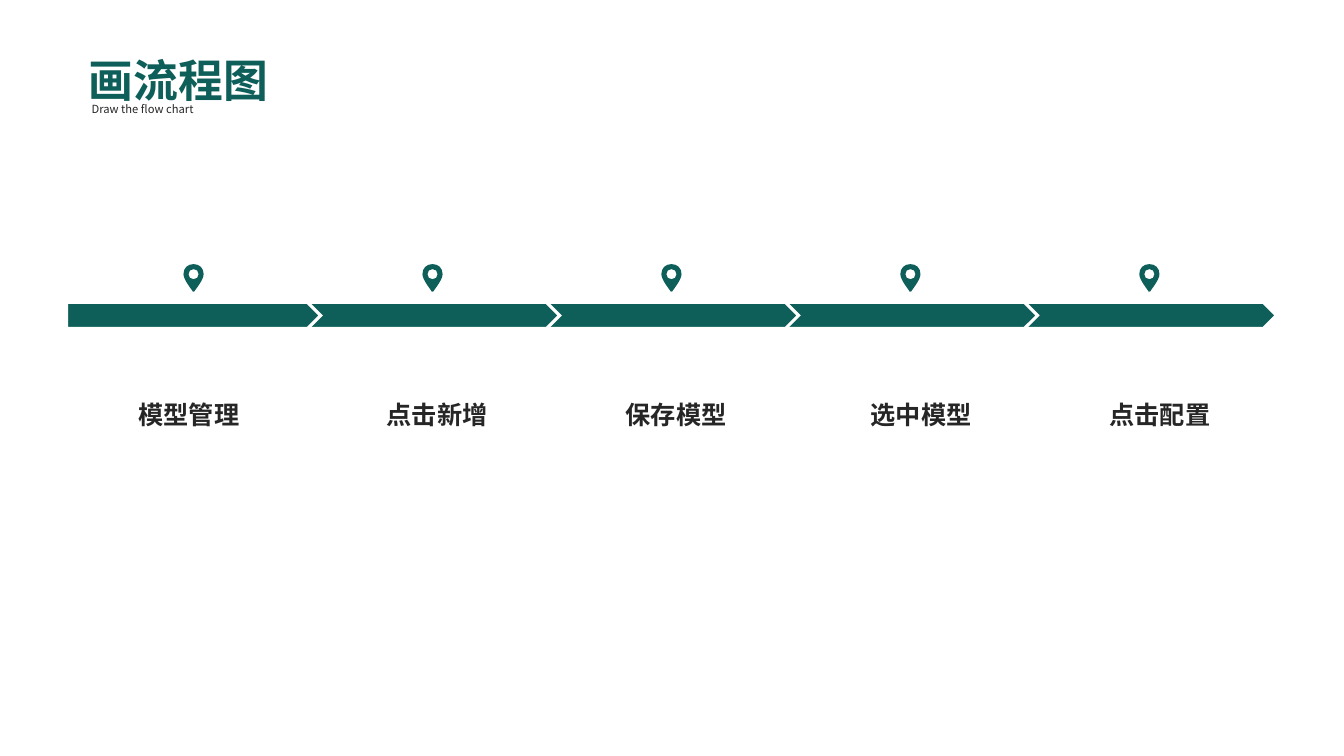
"""Build a five-step flow chart slide with an arrow band and map pins."""
from lxml.etree import SubElement as sub
from pptx import Presentation
from pptx.dml.color import RGBColor as RGB
from pptx.enum.shapes import MSO_SHAPE as SHAPE
from pptx.enum.text import MSO_AUTO_SIZE as AUTO, PP_ALIGN as ALIGN
from pptx.oxml.ns import qn
from pptx.util import Inches, Pt

GREEN, DARK, WHITE = "0E5E59", "262626", "FFFFFF"
STEP = 2.37


def paint(fmt, color):
    fmt.solid()
    fmt.fore_color.rgb = RGB.from_string(color)


def write(text, left, top, width, height, size, color=DARK, bold=False, align=ALIGN.LEFT):
    box = slide.shapes.add_textbox(Inches(left), Inches(top), Inches(width), Inches(height))
    frame = box.text_frame
    frame.word_wrap = True
    frame.auto_size = AUTO.SHAPE_TO_FIT_TEXT
    para = frame.paragraphs[0]
    para.alignment = align
    run = para.add_run()
    run.text = text
    font = run.font
    font.name, font.size, font.bold = "Noto Sans CJK SC", Pt(size), bold
    paint(font.fill, color)
    sub(run._r.get_or_add_rPr(), qn("a:ea"), typeface=font.name)


deck = Presentation()
deck.slide_width, deck.slide_height = Inches(13.33), Inches(7.5)
slide = deck.slides.add_slide(deck.slide_layouts[6])

write("画流程图", 0.78, 0.47, 3.11, 0.64, 32, GREEN, bold=True)
write("Draw the flow chart", 0.81, 0.97, 2.82, 0.23, 8, align=ALIGN.JUSTIFY)

band = slide.shapes.add_group_shape()
for i in reversed(range(5)):
    arrow = band.shapes.add_shape(SHAPE.PENTAGON, Inches(0.66 + i * STEP), Inches(3),
                                  Inches(2.52), Inches(0.26))
    arrow.shadow.inherit = False
    paint(arrow.fill, GREEN)
    paint(arrow.line.fill, WHITE)
    arrow.line.width = Pt(2.25)
    sub(arrow.line._get_or_add_ln(), qn("a:miter"), lim="800000")

drop = [(0, -0.1), (-0.06, -0.1), (-0.1, -0.06), (-0.1, 0),
        (-0.1, 0.06), (-0.01, 0.16), (-0.01, 0.17),
        (-0.01, 0.17), (0, 0.18), (0.01, 0.17),
        (0.01, 0.16), (0.1, 0.06), (0.1, 0),
        (0.1, -0.06), (0.06, -0.1), (0, -0.1)]
hole = [(0, 0.05), (-0.03, 0.05), (-0.05, 0.03), (-0.05, 0),
        (-0.05, -0.03), (-0.03, -0.05), (0, -0.05),
        (0.03, -0.05), (0.05, -0.03), (0.05, 0),
        (0.05, 0.03), (0.03, 0.05), (0, 0.05)]
for i in range(5):
    mid = 1.92 + i * STEP
    rings = [[(Inches(mid + x), Inches(2.72 + y)) for x, y in ring] for ring in (drop, hole)]
    pen = slide.shapes.build_freeform(*rings[0][0])
    pen.add_line_segments(rings[0][1:])
    pen.move_to(*rings[1][0])
    pen.add_line_segments(rings[1][1:])
    pin = pen.convert_to_shape()
    pin.shadow.inherit = False
    paint(pin.fill, GREEN)
    pin.line.fill.background()
    lines = list(pin._element.iter(qn("a:lnTo")))
    for first, *rest in zip(lines[::3], lines[1::3], lines[2::3]):
        curve = first.makeelement(qn("a:cubicBezTo"))
        first.addprevious(curve)
        for line in (first, *rest):
            curve.append(line[0])
            line.getparent().remove(line)

steps = [("模型管理", 0.66), ("点击新增", 3.12), ("保存模型", 5.49),
         ("选中模型", 7.92), ("点击配置", 10.29)]
for name, left in steps:
    write(name, left, 3.91, 2.43, 0.4, 18, bold=True, align=ALIGN.CENTER)

deck.save("out.pptx")
